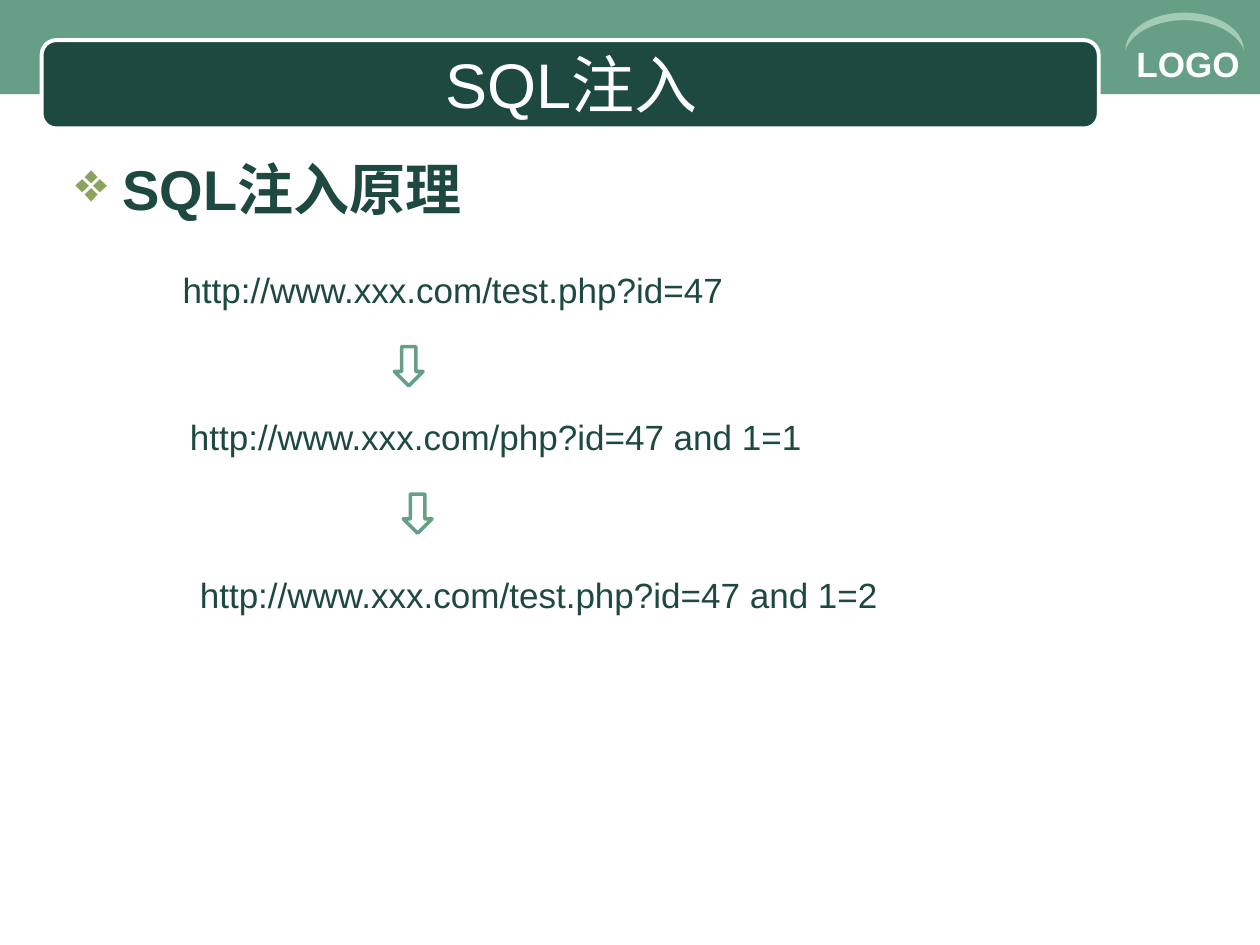
from lxml.etree import SubElement
from pptx import Presentation
from pptx.dml.color import RGBColor
from pptx.enum.shapes import MSO_SHAPE
from pptx.enum.text import MSO_ANCHOR, MSO_AUTO_SIZE, PP_ALIGN
from pptx.oxml.ns import qn
from pptx.util import Cm, Pt

DARK, GREEN, PALE, OLIVE, WHITE = "1D4940", "669E86", "A2CAB4", "8CA35F", "FFFFFF"


def color(hex_code):
    return RGBColor.from_string(hex_code)


class SlideBuilder:
    """Holds the text style and the slide being filled; lengths are centimetres."""

    font = "Arial"

    def __init__(self, slide):
        self.slide = slide

    def shape(self, kind, left, top, width, height, fill, line=None, weight=0):
        shape = self.slide.shapes.add_shape(
            kind, Cm(left), Cm(top), Cm(width), Cm(height))
        shape.shadow.inherit = False
        shape.fill.solid()
        shape.fill.fore_color.rgb = color(fill)
        if line:
            shape.line.color.rgb = color(line)
            shape.line.width = Pt(weight)
        else:
            shape.line.fill.background()
        return shape

    def text(self, words, left, top, width, height, size=20, fill=DARK,
             bold=False, wrap=True):
        box = self.slide.shapes.add_textbox(
            Cm(left), Cm(top), Cm(width), Cm(height))
        frame = box.text_frame
        frame.word_wrap = wrap
        frame.auto_size = MSO_AUTO_SIZE.NONE if wrap else MSO_AUTO_SIZE.SHAPE_TO_FIT_TEXT
        para = frame.paragraphs[0]
        span = para.add_run()
        span.text = words
        span.font.name = self.font
        span.font.size = Pt(size)
        span.font.bold = bold
        span.font.color.rgb = color(fill)
        return box

    def title(self, words, left, top, width, height):
        box = self.text(words, left, top, width, height, 36, WHITE)
        box.text_frame.vertical_anchor = MSO_ANCHOR.MIDDLE
        box.text_frame.paragraphs[0].alignment = PP_ALIGN.CENTER

    def bullet(self, words, left, top, width, height):
        box = self.text(words, left, top, width, height, 32, bold=True)
        properties = box.text_frame.paragraphs[0]._p.get_or_add_pPr()
        indent = Cm(0.95)
        properties.set("marL", str(indent))
        properties.set("indent", str(-indent))
        bullet_color = SubElement(properties, qn("a:buClr"))
        SubElement(bullet_color, qn("a:srgbClr"), val=OLIVE)
        SubElement(properties, qn("a:buChar"), char="❖")

    def down_arrow(self, left, top):
        self.shape(MSO_SHAPE.DOWN_ARROW, left, top, 0.58, 0.79, WHITE, GREEN, 2)


def main():
    deck = Presentation()
    deck.slide_width, deck.slide_height = Cm(25.4), Cm(19.05)
    page = SlideBuilder(deck.slides.add_slide(deck.slide_layouts[6]))

    page.shape(MSO_SHAPE.RECTANGLE, 0, 0, 25.4, 1.9, GREEN)
    page.shape(MSO_SHAPE.ROUNDED_RECTANGLE, 0.84, 0.81, 21.31, 1.78, DARK, WHITE, 2.25)
    page.text("LOGO", 22.66, 0.74, 2.74, 1.12, fill=WHITE, bold=True)
    arc = page.shape(MSO_SHAPE.MOON, 23.5, -0.56, 0.76, 2.39, PALE)
    arc.adjustments[0] = 0.2
    arc.rotation = 90

    page.title("SQL注入", 1.27, 0.89, 20.52, 1.57)
    page.bullet("SQL注入原理", 1.27, 3, 22.86, 14.58)

    addresses = [
        ("http://www.xxx.com/test.php?id=47", 3.43, 5.28, 11.46),
        ("http://www.xxx.com/php?id=47 and 1=1", 3.58, 8.26, 12.88),
        ("http://www.xxx.com/test.php?id=47 and 1=2", 3.78, 11.43, 14.22),
    ]
    for address, left, top, width in addresses:
        page.text(address, left, top, width, 1.12, wrap=False)
    for left, top in [(7.95, 6.99), (8.13, 9.96)]:
        page.down_arrow(left, top)

    deck.save("out.pptx")


if __name__ == "__main__":
    main()
